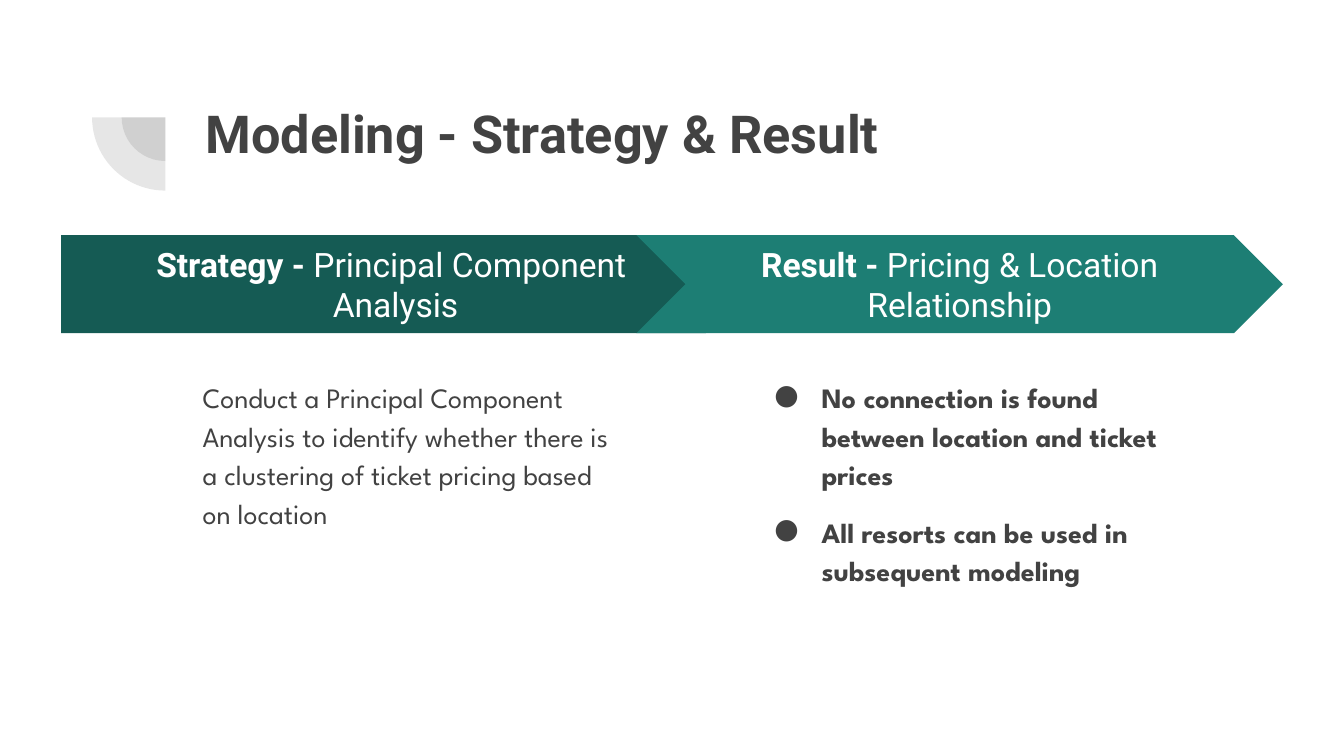
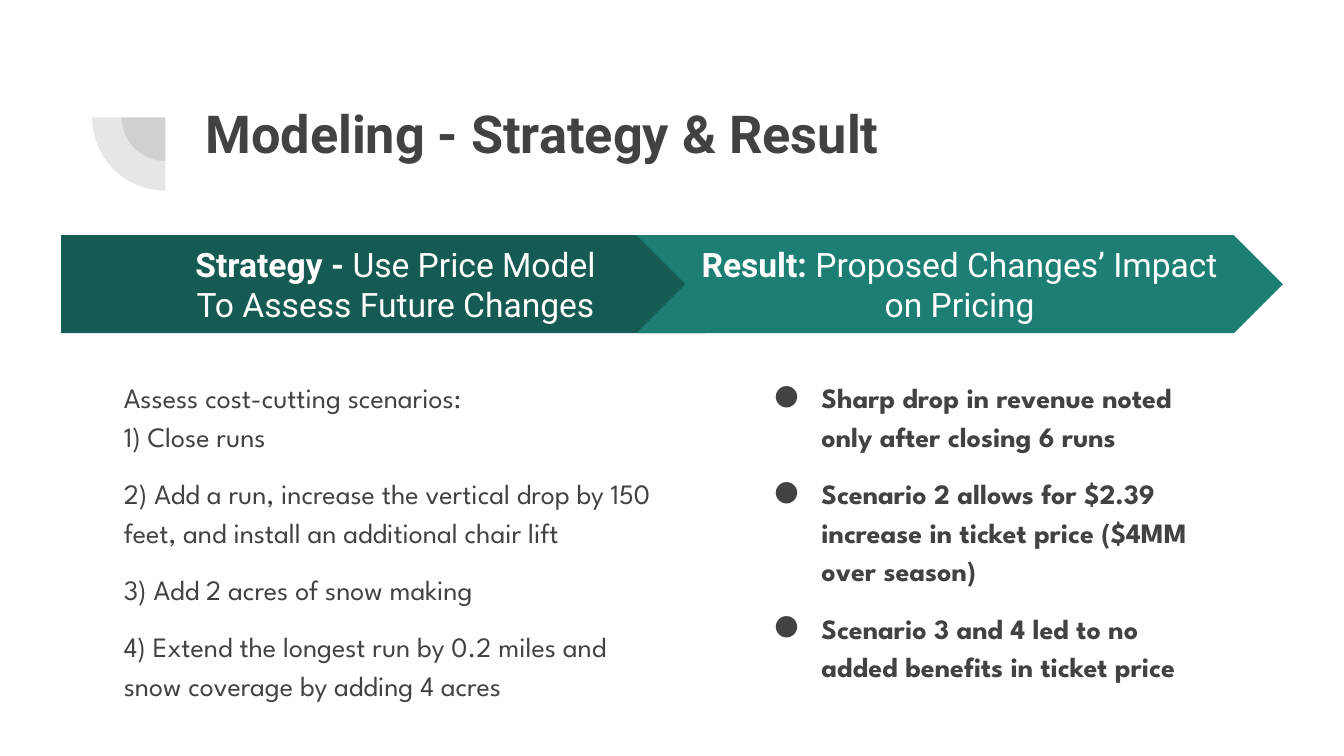
"""Builds two slides that set a modeling strategy beside its result."""
from lxml.etree import SubElement
from pptx import Presentation
from pptx.dml.color import RGBColor
from pptx.enum.shapes import MSO_SHAPE
from pptx.enum.text import MSO_ANCHOR, PP_ALIGN
from pptx.oxml.ns import qn
from pptx.util import Inches, Pt

COLORS = {"ink": "424242", "strategy": "155B54", "result": "1D7E74", "light": "FFFFFF"}
HEADING_FONT, BODY_FONT = "Roboto", "League Spartan"
CELL = 0.1
BAND_TOP, BAND_HEIGHT = 17.5, 7.3
BODY_TOP, BODY_HEIGHT = 26.96, 28.6


class Deck:
    """Holds the shared style and the slide being filled."""

    def __init__(self):
        self.presentation = Presentation()
        self.presentation.slide_width = Inches(10)
        self.presentation.slide_height = Inches(10) * 9 // 16
        self.slide = None

    def grid(self, *cells):
        return [Inches(cell * CELL) for cell in cells]

    def style(self, run, size, font, color, bold=False):
        run.font.size = Pt(size)
        run.font.name = font
        run.font.bold = bold
        run.font.color.rgb = RGBColor.from_string(COLORS[color])

    def shape(self, preset, color, *cells):
        shape = self.slide.shapes.add_shape(preset, *self.grid(*cells))
        shape.shadow.inherit = False
        shape.fill.solid()
        shape.fill.fore_color.rgb = RGBColor.from_string(COLORS[color])
        shape.line.fill.background()
        return shape

    def text_frame(self, *cells):
        frame = self.slide.shapes.add_textbox(*self.grid(*cells)).text_frame
        self.set_margins(frame)
        return frame

    def set_margins(self, frame):
        frame.word_wrap = True
        frame.margin_left = frame.margin_right = Inches(CELL)
        frame.margin_top = frame.margin_bottom = Inches(CELL)

    def quarter_disc(self, center_x, center_y, diameter):
        left, top = center_x - diameter / 2, center_y - diameter / 2
        disc = self.shape(MSO_SHAPE.PIE, "ink", left, top, diameter, diameter)
        disc.rotation = 270
        disc.adjustments[0], disc.adjustments[1] = 107.93, 162
        tint = disc.fill._xPr.find(qn("a:solidFill"))[0]
        SubElement(tint, qn("a:alpha"), val="13000")

    def start(self, title):
        self.slide = self.presentation.slides.add_slide(self.presentation.slide_layouts[6])
        for diameter in (6.5, 10.9):
            self.quarter_disc(12.3, 8.73, diameter)
        frame = self.text_frame(14.3, 6.5, 76.9, 10.9)
        frame.text = title
        self.style(frame.paragraphs[0].runs[0], 28, HEADING_FONT, "ink", True)

    def band(self, preset, color, left, width, lead, lines):
        band = self.shape(preset, color, left, BAND_TOP, width, BAND_HEIGHT)
        frame = band.text_frame
        self.set_margins(frame)
        frame.vertical_anchor = MSO_ANCHOR.MIDDLE
        heading = frame.paragraphs[0]
        heading.text = lead
        heading.alignment = PP_ALIGN.CENTER
        for number, line in enumerate(lines):
            if number:
                heading.add_line_break()
            heading.add_run().text = line
        for number, run in enumerate(heading.runs):
            self.style(run, 18, HEADING_FONT, "light", number == 0)

    def body(self, left, width, statements, bulleted=False, tight=1):
        frame = self.text_frame(left, BODY_TOP, width, BODY_HEIGHT)
        frame.text = "\n".join(statements)
        for number, paragraph in enumerate(frame.paragraphs):
            paragraph.line_spacing = 1.15
            paragraph.space_before = Pt(0 if number < tight else 10)
            paragraph.space_after = Pt(0)
            if bulleted:
                self.bullet(paragraph)
            for run in paragraph.runs:
                self.style(run, 15, BODY_FONT, "ink", bulleted)
        if len(statements) > 1:
            frame.paragraphs[-1].space_after = Pt(10)

    def bullet(self, paragraph):
        properties = paragraph._p.get_or_add_pPr()
        properties.set("marL", str(Inches(0.5)))
        properties.set("indent", str(Inches(-0.35)))
        color = SubElement(properties, qn("a:buClr"))
        SubElement(color, qn("a:srgbClr"), val=COLORS["ink"])
        SubElement(properties, qn("a:buSzPts"), val="1500")
        SubElement(properties, qn("a:buFont"), typeface=BODY_FONT)
        SubElement(properties, qn("a:buChar"), char="●")

    def strategy(self, lines, left, width, statements, tight=1):
        self.band(MSO_SHAPE.PENTAGON, "strategy", 4.55, 51.6, "Strategy - ", lines)
        self.body(left, width, statements, tight=tight)

    def result(self, lead, lines, width, findings):
        self.band(MSO_SHAPE.CHEVRON, "result", 47.36, 48.1, lead, lines)
        self.body(55.14, width, findings, bulleted=True)


TITLE = "Modeling - Strategy & Result"
deck = Deck()

deck.start(TITLE)
deck.strategy(["Principal Component ", "Analysis"], 14.1, 32.5, [
    "Conduct a Principal Component Analysis to identify whether there is "
    "a clustering of ticket pricing based on location",
])
deck.result("Result - ", ["Pricing & Location Relationship"], 32.5, [
    "No connection is found between location and ticket prices",
    "All resorts can be used in subsequent modeling",
])

deck.start(TITLE)
deck.strategy(["Use Price Model", "To Assess Future Changes"], 8.23, 41.8, [
    "Assess cost-cutting scenarios: ",
    "1) Close runs",
    "2) Add a run, increase the vertical drop by 150 feet, "
    "and install an additional chair lift",
    "3) Add 2 acres of snow making",
    "4) Extend the longest run by 0.2 miles and snow coverage by adding 4 acres",
], tight=2)
deck.result("Result: ", ["Proposed Changes’ Impact on Pricing"], 35.4, [
    "Sharp drop in revenue noted only after closing 6 runs",
    "Scenario 2 allows for $2.39 increase in ticket price ($4MM over season)",
    "Scenario 3 and 4 led to no added benefits in ticket price",
])

deck.presentation.save("out.pptx")
